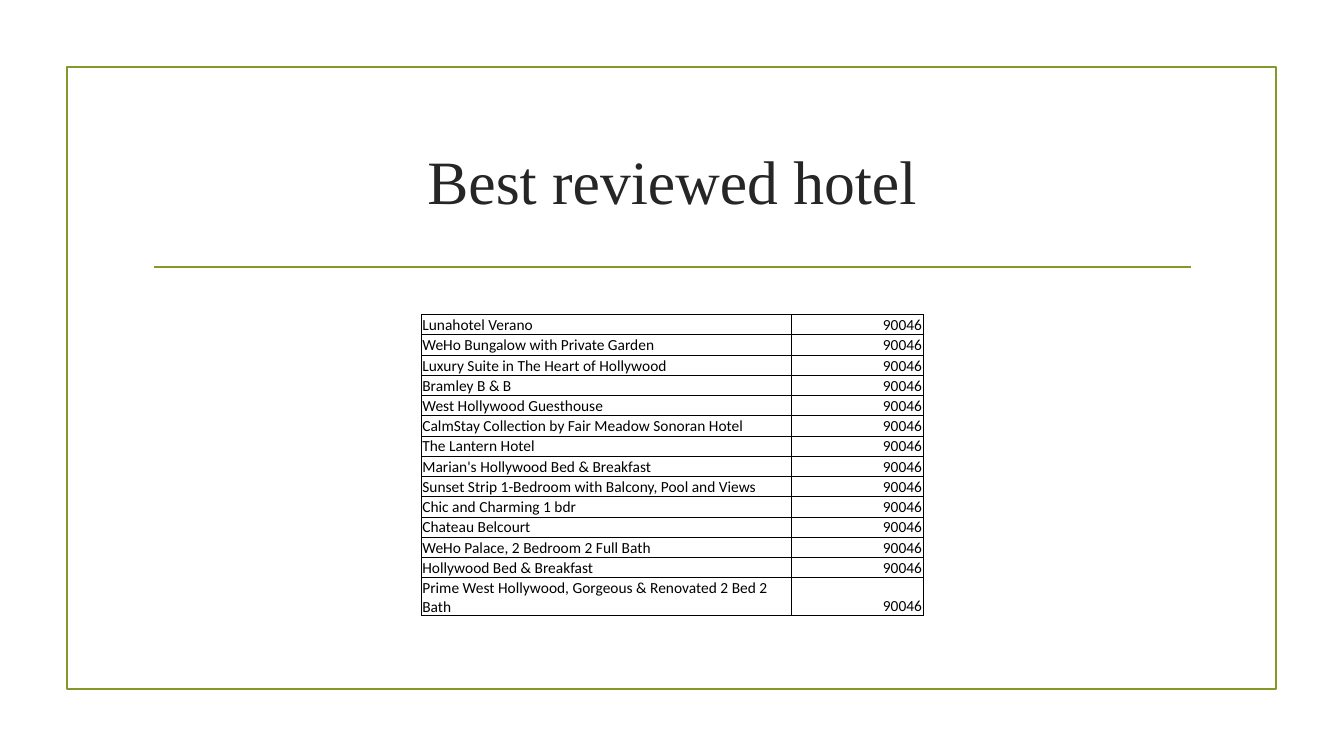
from lxml import etree
from pptx import Presentation
from pptx import util as u
from pptx.dml.color import RGBColor
from pptx.enum import shapes, text
from pptx.oxml import ns

GREEN = RGBColor(0x83, 0x99, 0x2A)
CHARCOAL = RGBColor(0x26, 0x26, 0x26)
BLACK = RGBColor(0, 0, 0)

# The slide is a grid of 100 columns by 100 rows.
COLUMN = u.Inches(13.33) / 100
ROW = u.Inches(7.5) / 100

ZIP_CODE = "90046"
HOTELS = [
    "Lunahotel Verano",
    "WeHo Bungalow with Private Garden",
    "Luxury Suite in The Heart of Hollywood",
    "Bramley B & B",
    "West Hollywood Guesthouse",
    "CalmStay Collection by Fair Meadow Sonoran Hotel",
    "The Lantern Hotel",
    "Marian's Hollywood Bed & Breakfast",
    "Sunset Strip 1-Bedroom with Balcony, Pool and Views",
    "Chic and Charming 1 bdr",
    "Chateau Belcourt",
    "WeHo Palace, 2 Bedroom 2 Full Bath",
    "Hollywood Bed & Breakfast",
    "Prime West Hollywood, Gorgeous & Renovated 2 Bed 2 Bath",
]

TITLE_FONT = {"name": "Times New Roman", "size": u.Pt(44)}
CELL_FONT = {"name": "Calibri", "size": u.Pt(11)}
CELL_FORMAT = {
    "vertical_anchor": text.MSO_ANCHOR.BOTTOM,
    "margin_left": u.Inches(0.01),
    "margin_right": u.Inches(0.01),
    "margin_top": u.Inches(0.01),
    "margin_bottom": 0,
}


def grid(*lengths):
    """Turn alternating column and row counts into slide lengths."""
    return [round(n * (ROW if i % 2 else COLUMN)) for i, n in enumerate(lengths)]


def set_all(target, values):
    for name, value in values.items():
        setattr(target, name, value)


def write(paragraph, wording, align, font, colour):
    paragraph.alignment = align
    run = paragraph.add_run()
    run.text = wording
    set_all(run.font, font)
    run.font.color.rgb = colour


def add_frame(slide, *place):
    frame = slide.shapes.add_shape(shapes.MSO_SHAPE.RECTANGLE, *grid(*place))
    frame.shadow.inherit = False
    frame.fill.background()
    frame.line.color.rgb = GREEN
    frame.line.width = u.Pt(1.25)


def add_rule(slide, *ends):
    rule = slide.shapes.add_connector(shapes.MSO_CONNECTOR.STRAIGHT, *grid(*ends))
    rule.line.color.rgb = GREEN
    rule.line.width = u.Pt(1.25)
    etree.SubElement(rule.element.spPr, ns.qn("a:effectLst"))


def add_title(slide, wording, *place):
    title = slide.shapes.add_textbox(*grid(*place)).text_frame
    title.word_wrap = True
    title.vertical_anchor = text.MSO_ANCHOR.MIDDLE
    write(title.paragraphs[0], wording, text.PP_ALIGN.CENTER, TITLE_FONT, CHARCOAL)


def add_borders(cell):
    properties = cell._tc.get_or_add_tcPr()
    for position, side in enumerate(("lnL", "lnR", "lnT", "lnB")):
        border = etree.Element(ns.qn(f"a:{side}"), w=str(u.Pt(0.5)))
        fill = etree.SubElement(border, ns.qn("a:solidFill"))
        etree.SubElement(fill, ns.qn("a:srgbClr"), val=str(BLACK))
        properties.insert(position, border)


def fill_cell(cell, wording, align):
    set_all(cell, CELL_FORMAT)
    cell.fill.background()
    write(cell.text_frame.paragraphs[0], wording, align, CELL_FONT, BLACK)
    add_borders(cell)


def add_hotel_table(slide, left, top, widths, row_height):
    place = grid(left, top, sum(widths), row_height * len(HOTELS))
    table = slide.shapes.add_table(len(HOTELS), len(widths), *place).table
    set_all(table, {"first_row": False, "horz_banding": False})
    for column, width in zip(table.columns, widths):
        column.width = round(width * COLUMN)
    for row, hotel in zip(table.rows, HOTELS):
        row.height = round(row_height * ROW)
        fill_cell(row.cells[0], hotel, text.PP_ALIGN.LEFT)
        fill_cell(row.cells[1], ZIP_CODE, text.PP_ALIGN.RIGHT)


def main():
    deck = Presentation()
    deck.slide_width, deck.slide_height = grid(100, 100)
    slide = deck.slides.add_slide(deck.slide_layouts[6])
    add_frame(slide, 4.97, 8.9, 90, 82.3)
    add_rule(slide, 11.46, 35.3, 88.6, 35.3)
    add_title(slide, "Best reviewed hotel", 10.65, 14.25, 78.75, 19)
    add_hotel_table(slide, 31.35, 41.6, (27.53, 9.8), 2.68)
    deck.save("out.pptx")


if __name__ == "__main__":
    main()
